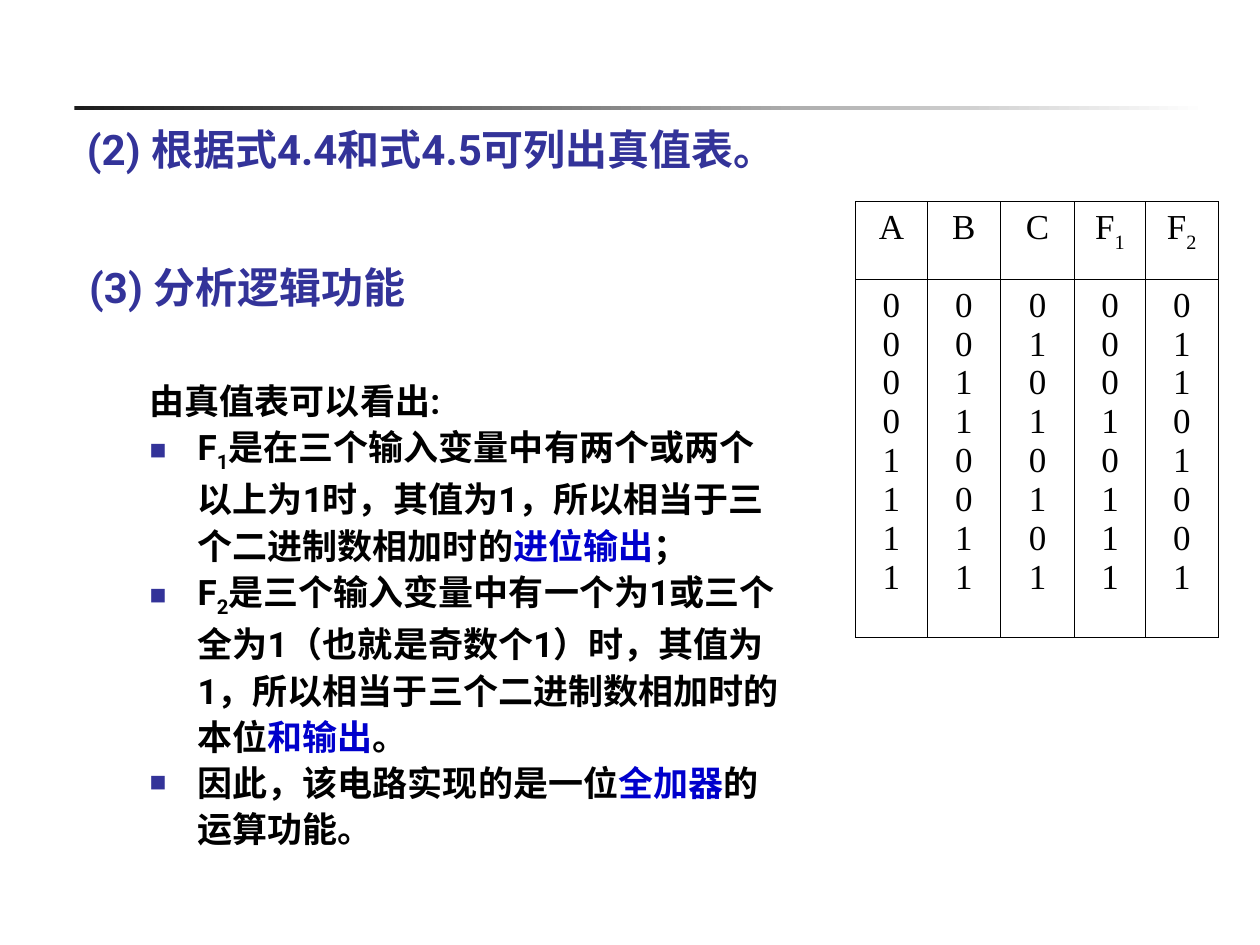
from dataclasses import dataclass
from itertools import product

from lxml.etree import SubElement
from pptx import Presentation
from pptx.dml.color import RGBColor
from pptx.enum.shapes import MSO_SHAPE
from pptx.enum.text import MSO_ANCHOR, MSO_AUTO_SIZE, PP_ALIGN
from pptx.oxml.ns import qn
from pptx.util import Inches, Pt


@dataclass(frozen=True)
class Theme:
    sans: str = "Roboto"
    serif: str = "Times New Roman"
    heading: str = "333399"
    text: str = "000000"
    accent: str = "0000CC"
    rule_start: str = "1C1C1C"
    rule_end: str = "FFFFFF"
    heading_size: int = 24
    body_size: int = 20
    thin: float = 0.75
    thick: float = 1


class SlideBuilder:
    """Draw styled elements on the current slide."""

    def __init__(self, prs, theme):
        self.theme = theme
        self.s = prs.slides.add_slide(prs.slide_layouts.get_by_name("Title Only"))

    def run(self, p, text, size, color, font, bold=False, baseline=0):
        r = p.add_run()
        r.text = text
        r.font.name = font
        r.font.size = Pt(size)
        r.font.bold = bold
        r.font.color.rgb = RGBColor.from_string(color)
        if baseline:
            r.font._element.set("baseline", str(baseline * 1000))

    def heading_run(self, p, text):
        t = self.theme
        p.alignment = PP_ALIGN.LEFT
        self.run(p, text, t.heading_size, t.heading, t.sans, True)

    def hang(self, p):
        pPr = p._p.get_or_add_pPr()
        pPr.set("marL", str(Inches(0.38)))
        pPr.set("indent", str(-Inches(0.38)))
        return pPr

    def bullet(self, p):
        pPr = self.hang(p)
        SubElement(SubElement(pPr, qn("a:buClr")), qn("a:srgbClr"), val=self.theme.heading)
        SubElement(pPr, qn("a:buSzPct"), val="80000")
        SubElement(pPr, qn("a:buFont"), typeface=self.theme.serif)
        SubElement(pPr, qn("a:buChar"), char="■")

    def rule(self, x, y, w, h):
        sp = self.s.shapes.add_shape(
            MSO_SHAPE.RECTANGLE, Inches(x), Inches(y), Inches(w), Inches(h))
        sp.shadow.inherit = False
        sp.line.fill.background()
        sp.fill.gradient()
        sp.fill.gradient_angle = 0
        colors = (self.theme.rule_start, self.theme.rule_end)
        for stop, color in zip(sp.fill.gradient_stops, colors):
            stop.color.rgb = RGBColor.from_string(color)

    def title(self, text, x, y, w, h):
        sp = self.s.shapes.title
        sp.left, sp.top, sp.width, sp.height = (Inches(v) for v in (x, y, w, h))
        tf = sp.text_frame
        tf.auto_size = MSO_AUTO_SIZE.NONE
        tf.vertical_anchor = MSO_ANCHOR.BOTTOM
        self.heading_run(tf.paragraphs[0], text)

    def text_box(self, x, y, w, h, wrap):
        sp = self.s.shapes.add_textbox(Inches(x), Inches(y), Inches(w), Inches(h))
        tf = sp.text_frame
        tf.word_wrap = wrap
        tf.auto_size = MSO_AUTO_SIZE.SHAPE_TO_FIT_TEXT
        return tf

    def heading(self, text, x, y, w, h):
        tf = self.text_box(x, y, w, h, False)
        self.heading_run(tf.paragraphs[0], text)

    def body(self, intro, points, x, y, w, h):
        t = self.theme
        tf = self.text_box(x, y, w, h, True)
        tf.vertical_anchor = MSO_ANCHOR.MIDDLE
        p = tf.paragraphs[0]
        p.line_spacing = 1.1
        self.run(p, intro, t.body_size, t.text, t.sans, True)
        for point in points:
            p = tf.add_paragraph()
            self.bullet(p)
            p.line_spacing = 1.1
            for text, color, baseline in point:
                self.run(p, text, t.body_size, color, t.sans, True, baseline)

    def borders(self, cell, widths):
        tcPr = cell._tc.get_or_add_tcPr()
        for side, width in zip(("lnL", "lnR", "lnT", "lnB"), widths):
            ln = SubElement(tcPr, qn(f"a:{side}"), w=str(Pt(width)))
            fill = SubElement(ln, qn("a:solidFill"))
            SubElement(fill, qn("a:srgbClr"), val=self.theme.text)

    def cell_text(self, p, text, subscript=""):
        t = self.theme
        self.hang(p)
        p.alignment = PP_ALIGN.CENTER
        self.run(p, text, t.body_size, t.text, t.serif)
        if subscript:
            self.run(p, subscript, t.body_size, t.text, t.serif, baseline=-30)

    def truth_table(self, headers, columns, x, y, widths, heights):
        t = self.theme
        tbl = self.s.shapes.add_table(
            len(heights), len(widths), Inches(x), Inches(y),
            Inches(sum(widths)), Inches(sum(heights))).table
        tbl.first_row = tbl.horz_banding = False
        for row, height in zip(tbl.rows, heights):
            row.height = Inches(height)
        v_lines = (t.thin, t.thin, t.thin, t.thick, t.thick, t.thin)
        h_lines = (t.thin, t.thick, t.thick)
        for c, (header, values) in enumerate(zip(headers, columns)):
            tbl.columns[c].width = Inches(widths[c])
            for r in range(len(heights)):
                cell = tbl.cell(r, c)
                self.borders(cell, v_lines[c:c + 2] + h_lines[r:r + 2])
                cell.fill.background()
            self.cell_text(tbl.cell(0, c).text_frame.paragraphs[0], header[0], header[1:])
            tf = tbl.cell(1, c).text_frame
            for i, value in enumerate(values):
                p = tf.add_paragraph() if i else tf.paragraphs[0]
                self.cell_text(p, str(value))


def main():
    prs = Presentation()
    prs.slide_width, prs.slide_height = Inches(10), Inches(7.5)
    t = Theme()
    slide = SlideBuilder(prs, t)
    slide.rule(0.59, 0.84, 9, 0.03)
    slide.title("(2) 根据式4.4和式4.5可列出真值表。", 0.59, 0.91, 8.52, 0.52)

    rows = [(*bits, sum(bits) // 2, sum(bits) % 2) for bits in product((0, 1), repeat=3)]
    slide.truth_table(("A", "B", "C", "F1", "F2"), zip(*rows), 6.79, 1.6,
                      (0.57, 0.58, 0.59, 0.56, 0.58), (0.62, 2.84))

    slide.heading("(3) 分析逻辑功能", 0.61, 2.03, 2.82, 0.5)
    points = (
        (("F", t.text, 0), ("1", t.text, -25),
         ("是在三个输入变量中有两个或两个以上为1时，其值为1，所以相当于三个二进制数相加时的", t.text, 0),
         ("进位输出", t.accent, 0), ("；", t.text, 0)),
        (("F", t.text, 0), ("2", t.text, -25),
         ("是三个输入变量中有一个为1或三个全为1（也就是奇数个1）时，其值为1，"
          "所以相当于三个二进制数相加时的本位", t.text, 0),
         ("和输出", t.accent, 0), ("。", t.text, 0)),
        (("因此，该电路实现的是一位", t.text, 0), ("全加器", t.accent, 0),
         ("的运算功能。", t.text, 0)),
    )
    slide.body("由真值表可以看出:", points, 1.09, 2.96, 5.23, 3.8)
    prs.save("out.pptx")


if __name__ == "__main__":
    main()
